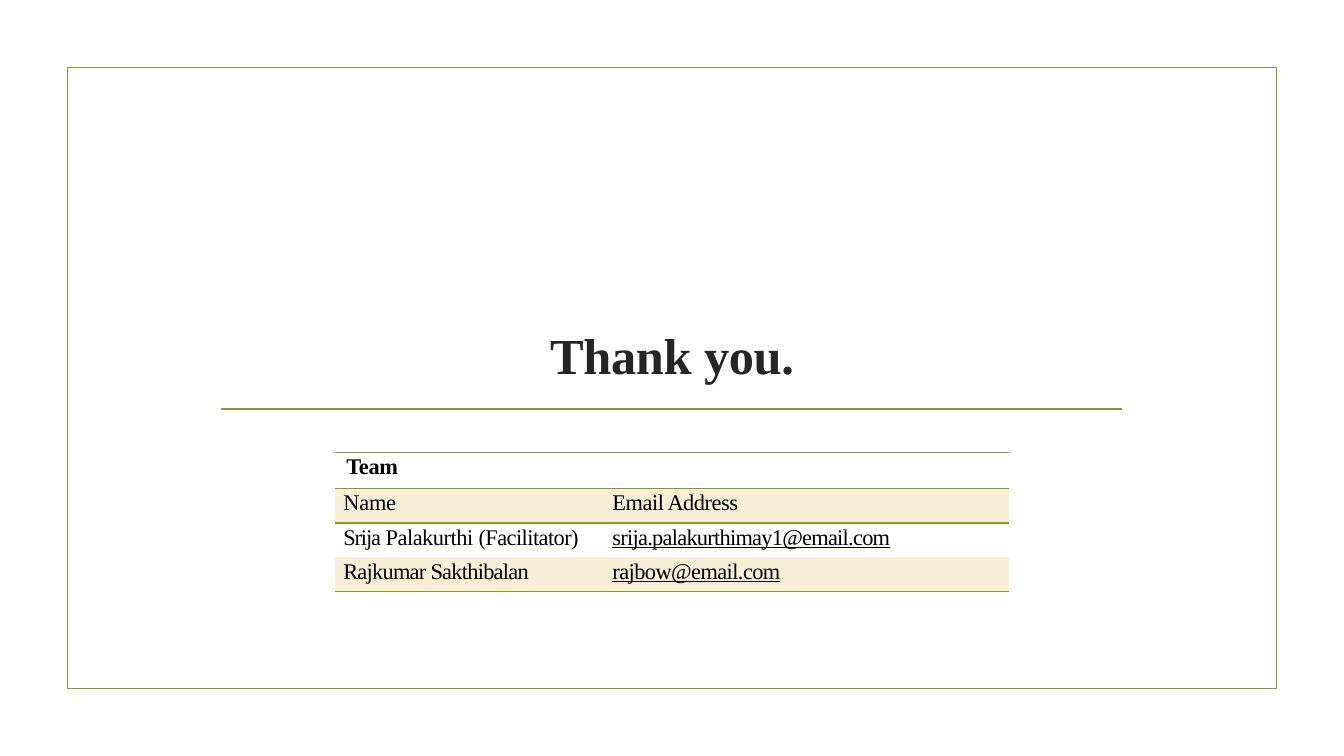
from lxml import etree
from pptx import Presentation, util as u
from pptx.dml.color import RGBColor
from pptx.enum import shapes, text
from pptx.oxml.ns import qn

WIDTH, HEIGHT = 13.33, 7.5
GREEN = RGBColor(0x83, 0x99, 0x2A)
CREAM = RGBColor(0xF8, 0xEF, 0xD8)
INK = RGBColor(0x25, 0x25, 0x25)
BLACK = RGBColor(0, 0, 0)
FONT = "Times New Roman"

TITLE = {"size": u.Pt(36), "bold": True}
HEADING = {"size": u.Pt(16), "bold": True}
BODY = {"size": u.Pt(16), "bold": False}
ADDRESS = {**BODY, "underline": True}

# Each cell: runs of (text, letter spacing in points), format
TEAM = [
    [([("Team", -0.2)], HEADING), ([], BODY)],
    [([("Name", -0.1)], BODY), ([("Email Address", -0.3)], BODY)],
    [([("Srija ", -0.8), ("Palakurthi ", -0.3), ("(Facilitator)", -0.4)], BODY),
     ([("srija.palakurthimay1@email.com", -0.5)], ADDRESS)],
    [([("Rajkumar Sakthibalan", -0.5)], BODY),
     ([("rajbow@email.com", -0.4)], ADDRESS)],
]
COLUMNS = [2.59, 4.09]
ROWS = [0.36, 0.34, 0.34, 0.34]
INDENTS = [0.08, 0.16]


def inches(*lengths):
    return [u.Inches(length) for length in lengths]


def write(para, runs, style, color):
    for words, spacing in runs:
        span = para.add_run()
        span.text = words
        span.font.name = FONT
        span.font.color.rgb = color
        for name, value in style.items():
            setattr(span.font, name, value)
        span.font._element.set("spc", str(round(spacing * 100)))


def add_frame(page, box):
    frame = page.shapes.add_shape(shapes.MSO_SHAPE.RECTANGLE, *inches(*box))
    frame.shadow.inherit = False
    frame.fill.background()
    frame.line.color.rgb = GREEN
    frame.line.width = u.Pt(1.2)


def add_title(page, box):
    left, top, width, height = box
    title = page.shapes.add_textbox(*inches(left, top, width, height))
    frame = title.text_frame
    layout = {"margin_left": 0, "margin_right": 0, "margin_top": u.Inches(0.01),
              "margin_bottom": 0, "word_wrap": True}
    for name, value in layout.items():
        setattr(frame, name, value)
    para = frame.paragraphs[0]
    para.alignment = text.PP_ALIGN.CENTER
    para.space_before = u.Pt(1)
    write(para, [("Thank ", -0.2), ("you.", -0.3)], TITLE, INK)


def add_rule(page, left, top, width):
    ends = inches(left, top, left + width, top)
    rule = page.shapes.add_connector(shapes.MSO_CONNECTOR.STRAIGHT, *ends)
    rule.line.color.rgb = GREEN
    rule.line.width = u.Pt(1.2)
    etree.SubElement(rule._element.spPr, qn("a:effectLst"))


def set_borders(cell, visible):
    """Draw the named sides in green and clear the others."""
    properties = cell._tc.get_or_add_tcPr()
    for place, side in enumerate("LRTB"):
        line = etree.Element(qn("a:ln" + side), w=str(u.Pt(1)))
        if side in visible:
            fill = etree.SubElement(line, qn("a:solidFill"))
            etree.SubElement(fill, qn("a:srgbClr"), val=str(GREEN))
        else:
            etree.SubElement(line, qn("a:noFill"))
        properties.insert(place, line)


def add_team(page, left, top):
    box = inches(left, top, sum(COLUMNS), sum(ROWS))
    table = page.shapes.add_table(len(ROWS), len(COLUMNS), *box).table
    table.first_row = table.horz_banding = False
    for column, width in zip(table.columns, COLUMNS):
        column.width = u.Inches(width)
    for row, height in zip(table.rows, ROWS):
        row.height = u.Inches(height)

    last = len(ROWS) - 1
    for i, record in enumerate(TEAM):
        sides = ("T" if i < last else "") + ("B" if i in (0, 1, last) else "")
        for j, (runs, style) in enumerate(record):
            cell = table.cell(i, j)
            indent = INDENTS[j] + (0.03 if i == 0 else 0)
            layout = {"margin_left": u.Inches(indent), "margin_right": 0,
                      "margin_top": u.Inches(0.02), "margin_bottom": 0}
            for name, value in layout.items():
                setattr(cell, name, value)
            if i % 2:
                cell.fill.solid()
                cell.fill.fore_color.rgb = CREAM
            else:
                cell.fill.background()
            set_borders(cell, sides)
            para = cell.text_frame.paragraphs[0]
            para.font.size = style["size"]
            para.space_before = u.Pt(1.5 if i else 2)
            write(para, runs, style, BLACK)


def build_closing(page, box):
    left, top, width, height = box
    add_frame(page, box)
    # Title and rule share the frame's centre line
    middle = left + width / 2
    add_title(page, (middle - 1.5, top + 2.54, 3, 0.63))
    add_rule(page, middle - 4.47, top + height * 0.55, 8.93)
    add_team(page, middle - sum(COLUMNS) / 2, top + height * 0.62)


def main():
    deck = Presentation()
    deck.slide_width, deck.slide_height = inches(WIDTH, HEIGHT)
    page = deck.slides.add_slide(deck.slide_layouts[6])
    margin = 0.67
    build_closing(page, (margin, margin, WIDTH - 2 * margin, HEIGHT - 2 * margin))
    deck.save("out.pptx")


if __name__ == "__main__":
    main()
